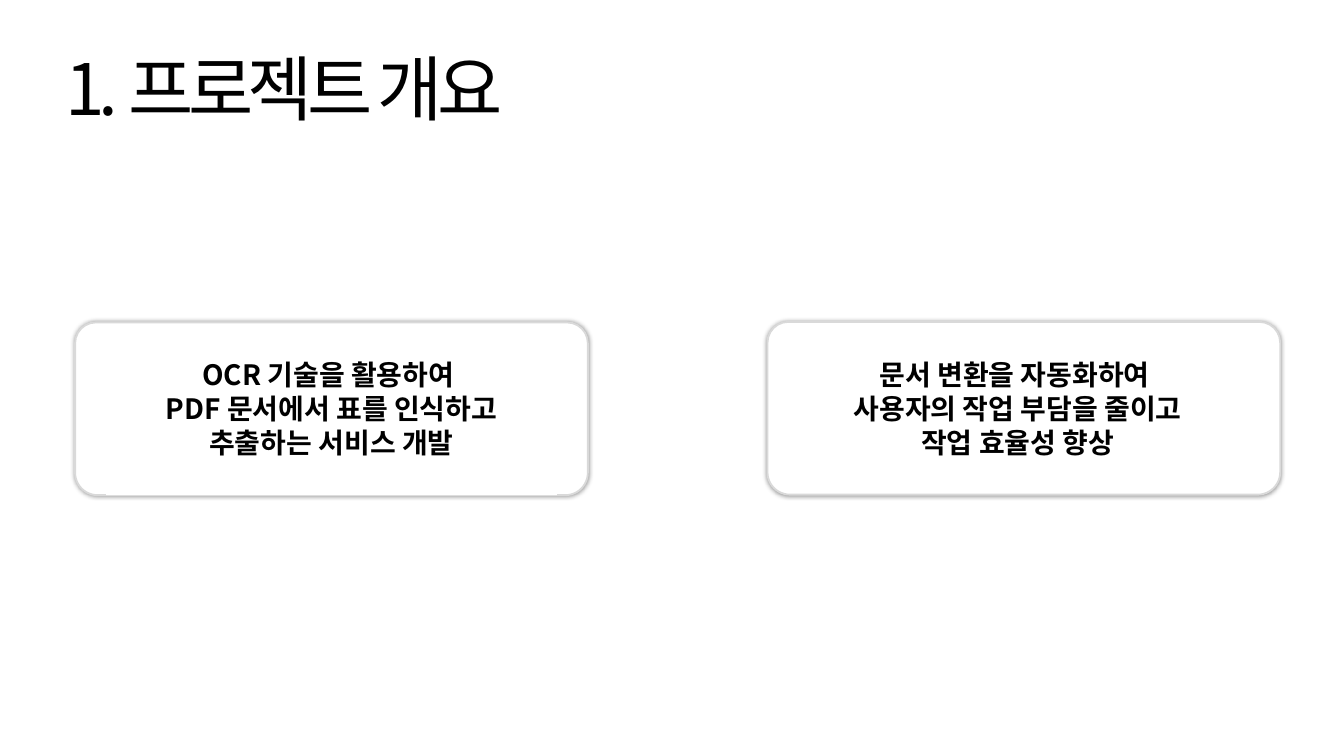
from dataclasses import dataclass

from lxml import etree
from pptx import Presentation
from pptx.dml.color import RGBColor
from pptx.enum.shapes import MSO_SHAPE
from pptx.enum.text import MSO_ANCHOR, PP_ALIGN
from pptx.oxml import parse_xml
from pptx.oxml.ns import nsdecls, qn
from pptx.shapes.autoshape import Shape
from pptx.slide import Slide
from pptx.util import Cm, Pt

PANEL_SHAPE = MSO_SHAPE.ROUND_2_SAME_RECTANGLE
RECTANGLE = MSO_SHAPE.RECTANGLE
TOP = MSO_ANCHOR.TOP
LEFT = PP_ALIGN.LEFT
CENTER = PP_ALIGN.CENTER

FONT = "Noto Sans CJK KR"
COLORS = {"text": "000000", "surface": "FFFFFF", "border": "D9D9D9", "shadow": "000000"}


@dataclass(frozen=True)
class Box:
    left: float
    top: float
    width: float
    height: float

    def lengths(self) -> tuple[Cm, Cm, Cm, Cm]:
        return Cm(self.left), Cm(self.top), Cm(self.width), Cm(self.height)


@dataclass(frozen=True)
class TextStyle:
    size: int
    bold: bool
    alignment: PP_ALIGN
    tracking: int = 0


@dataclass(frozen=True)
class Statement:
    panel: Box
    text_box: Box
    lines: tuple[str, ...]


TITLE_BOX = Box(2.21, 1.55, 29.97, 3.5)
TITLE_STYLE = TextStyle(76, False, LEFT, -600)
STATEMENT_STYLE = TextStyle(30, True, CENTER)
STATEMENTS = (
    Statement(
        Box(2.84, 12.19, 19.38, 6.53),
        Box(4.01, 13.41, 17.04, 5.31),
        ("OCR 기술을 활용하여 ", "PDF 문서에서 표를 인식하고", "추출하는 서비스 개발"),
    ),
    Statement(
        Box(29.01, 12.17, 19.38, 6.53),
        Box(29.95, 13.41, 17.04, 4.11),
        ("문서 변환을 자동화하여 ", "사용자의 작업 부담을 줄이고", "작업 효율성 향상"),
    ),
)


def color(name: str) -> RGBColor:
    return RGBColor.from_string(COLORS[name])


def write_text(shape: Shape, lines: tuple[str, ...], style: TextStyle) -> None:
    text_frame = shape.text_frame
    text_frame.word_wrap = True
    text_frame.vertical_anchor = TOP
    text_frame.text = "\n".join(lines)
    for paragraph in text_frame.paragraphs:
        paragraph.alignment = style.alignment
        for run in paragraph.runs:
            run.font.size = Pt(style.size)
            run.font.bold = style.bold
            run.font.name = FONT
            run.font.color.rgb = color("text")
            properties = run.font._element
            east_asian = etree.Element(qn("a:ea"), typeface=FONT)
            properties.find(qn("a:latin")).addnext(east_asian)
            if style.tracking:
                properties.set("spc", str(style.tracking))


def add_surface(slide: Slide, kind: MSO_SHAPE, box: Box) -> Shape:
    shape = slide.shapes.add_shape(kind, *box.lengths())
    shape.shadow.inherit = False
    shape.fill.solid()
    shape.fill.fore_color.rgb = color("surface")
    shape.line.fill.background()
    return shape


def add_panel(slide: Slide, box: Box) -> None:
    panel = add_surface(slide, PANEL_SHAPE, box)
    panel.adjustments[0] = 0.12
    panel.adjustments[1] = 0.13
    panel.line.color.rgb = color("border")
    panel.line.width = Pt(2)
    shadow = parse_xml(
        f'<a:outerShdw {nsdecls("a")} blurRad="{Pt(5)}" dist="0" dir="0">'
        f'<a:srgbClr val="{COLORS["shadow"]}"><a:alpha val="40000"/></a:srgbClr>'
        "</a:outerShdw>"
    )
    panel._element.spPr.find(qn("a:effectLst")).append(shadow)


def main() -> None:
    """Build the project overview slide."""
    presentation = Presentation()
    presentation.slide_width = Cm(50.8)
    presentation.slide_height = Cm(28.58)
    slide = presentation.slides.add_slide(presentation.slide_layouts[6])

    for statement in reversed(STATEMENTS):
        add_panel(slide, statement.panel)

    title = slide.shapes.add_textbox(*TITLE_BOX.lengths())
    write_text(title, ("1. 프로젝트 개요",), TITLE_STYLE)

    for statement in STATEMENTS:
        text_shape = add_surface(slide, RECTANGLE, statement.text_box)
        write_text(text_shape, statement.lines, STATEMENT_STYLE)

    presentation.save("out.pptx")


if __name__ == "__main__":
    main()
